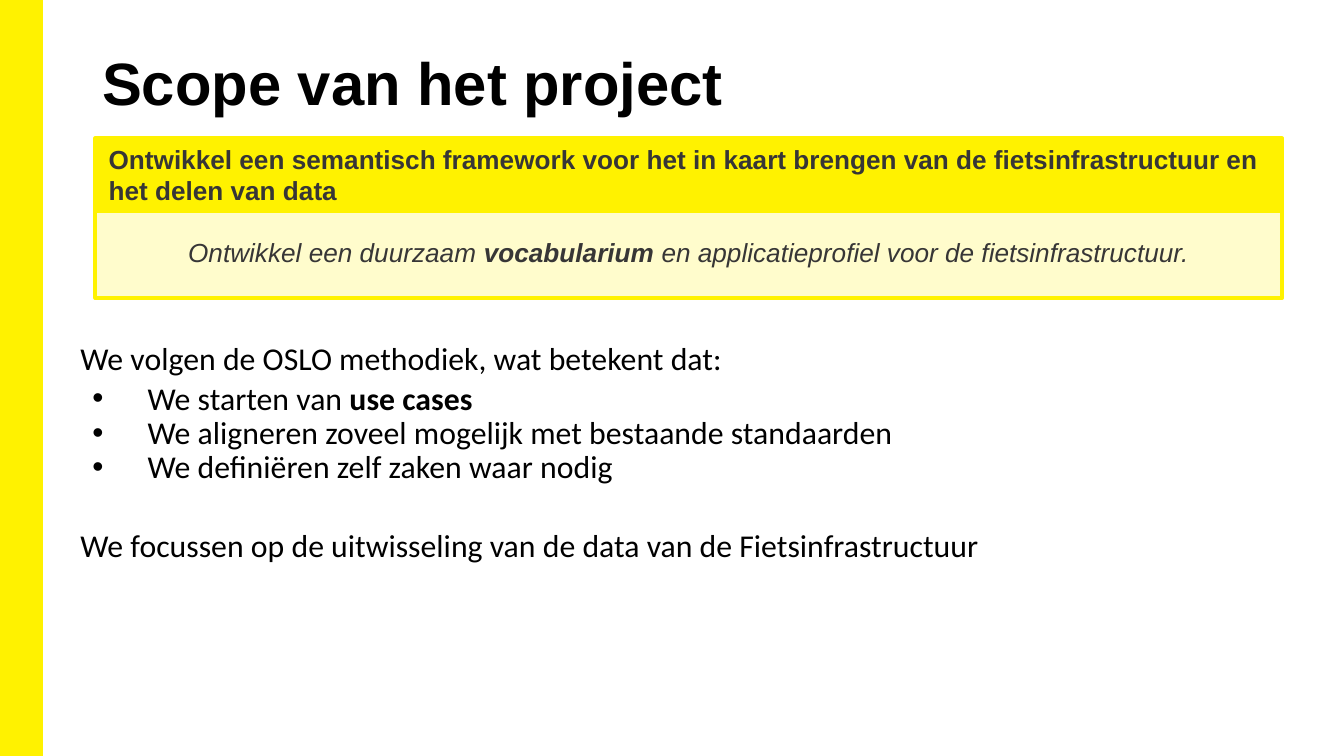
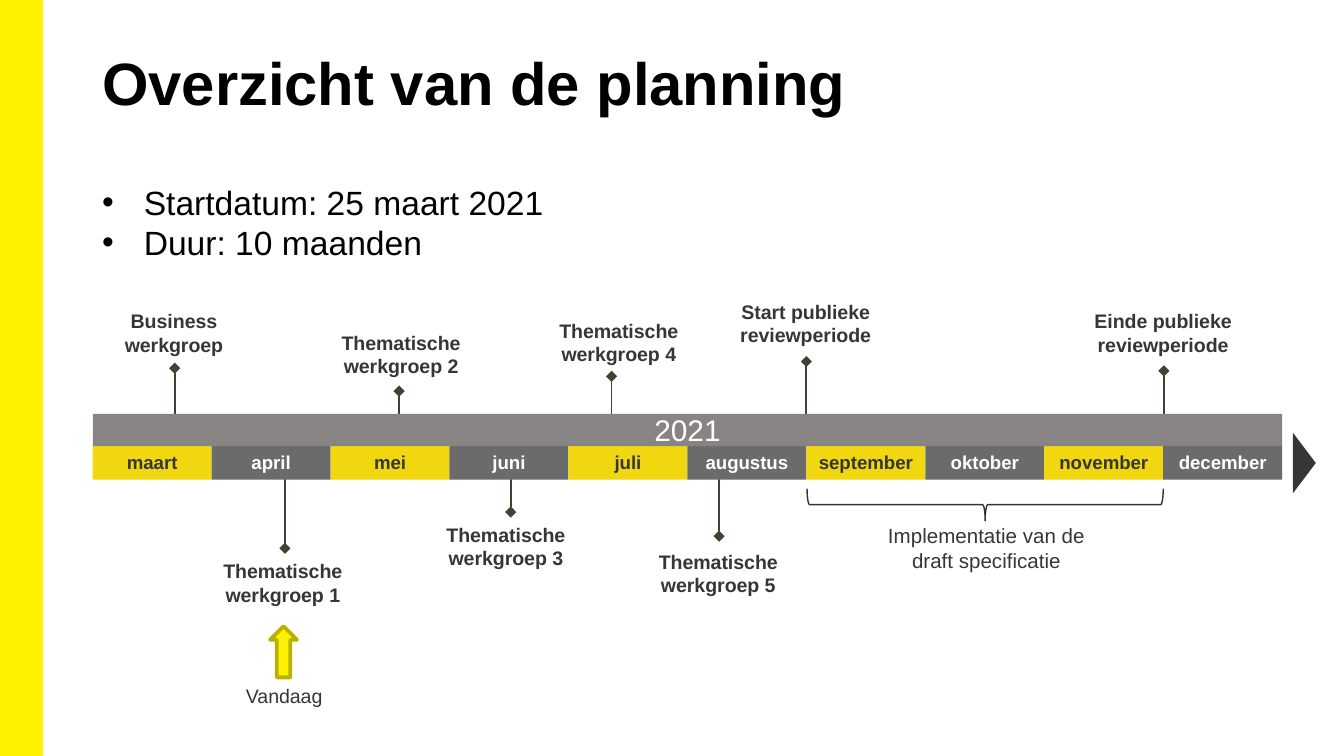
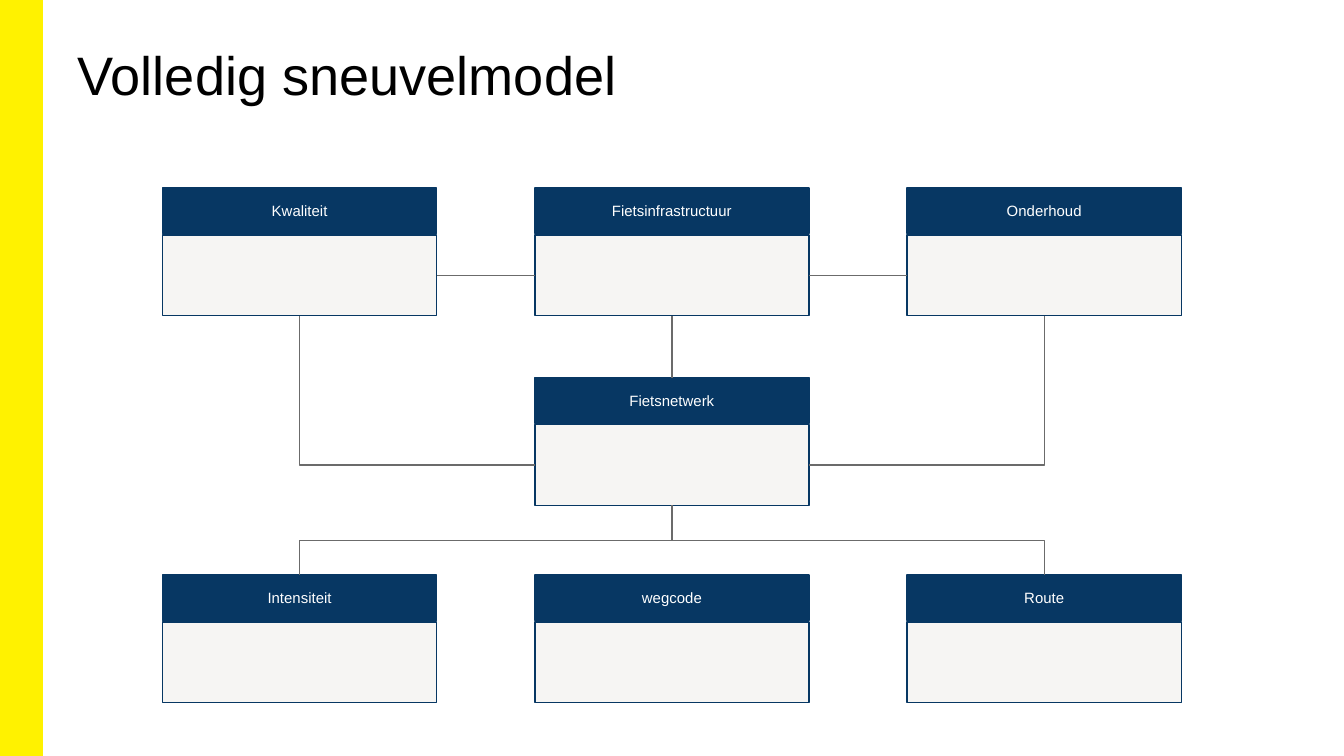
import pptx
import pptx.dml.color
import pptx.enum.shapes
import pptx.enum.text
import pptx.oxml
import pptx.oxml.ns
import pptx.util

COLUMNS, ROWS = 100, 56.25
YELLOW, PALE, GOLD, OLIVE = "FFF200", "FFFCCC", "F0D70F", "BAB000"
BLACK, WHITE, INK, STEM = "000000", "FFFFFF", "373636", "454034"
GREY, BAR, BRACE, NAVY, PAPER = "6B6B6B", "888484", "353333", "073763", "F6F5F3"
TITLE_INSETS = (0.7, 0.4, 0.7, 0.4)
BOX_INSETS = (1, 0.5, 1, 0.5)
MONTH_INSETS = (0.8, 0.8, 0.8, 1)
EVEN_INSETS = (1, 1, 1, 1)
NO_INSETS = (0, 0, 0, 0)
CENTER = pptx.enum.text.PP_ALIGN.CENTER
MIDDLE = pptx.enum.text.MSO_ANCHOR.MIDDLE
SHAPE = pptx.enum.shapes.MSO_SHAPE
LINK = pptx.enum.shapes.MSO_CONNECTOR
TOP, LEFT, BOTTOM, RIGHT = range(4)


def cells(count):
    return pptx.util.Inches(count / 10)


def color(value):
    return pptx.dml.color.RGBColor.from_string(value)


def add_element(parent, tag, **attributes):
    element = pptx.oxml.ns.qn(tag)
    child = parent.makeelement(element, attributes)
    parent.append(child)
    return child


def draw(shapes, kind, area, fill=None, outline=None, weight=1, rotation=0, adjustments=()):
    shape = shapes.add_shape(kind, *map(cells, area))
    shape.shadow.inherit = False
    shape.rotation = rotation
    for index, value in enumerate(adjustments):
        shape.adjustments[index] = value
    if fill:
        shape.fill.solid()
        shape.fill.fore_color.rgb = color(fill)
    else:
        shape.fill.background()
    if outline:
        shape.line.color.rgb = color(outline)
        shape.line.width = pptx.util.Pt(weight)
    else:
        shape.line.fill.background()
    return shape


def add_bullet(para, indent, hanging):
    properties = para._p.get_or_add_pPr()
    properties.set("marL", str(cells(indent)))
    properties.set("indent", str(-cells(hanging)))
    tint = add_element(properties, "a:buClr")
    add_element(tint, "a:srgbClr", val=BLACK)
    add_element(properties, "a:buFont", typeface="Arial")
    add_element(properties, "a:buChar", char="•")


def write_para(para, text, size, ink, bold=False, italic=False, font="Arial",
               align=None, spacing=None, before=None, bullet=None):
    if align is not None:
        para.alignment = align
    if spacing:
        para.line_spacing = spacing
    if before:
        para.space_before = pptx.util.Pt(before)
    if bullet:
        add_bullet(para, *bullet)
    para.font.name = font
    para.font.size = pptx.util.Pt(size)
    para.font.color.rgb = color(ink)
    para.font.bold = bold
    para.font.italic = italic
    for index, piece in enumerate(text.split("**")):
        span = para.add_run()
        span.text = piece
        if index % 2:
            span.font.bold = True


def set_frame(shape, insets, anchor=pptx.enum.text.MSO_ANCHOR.TOP):
    frame = shape.text_frame
    frame.word_wrap = True
    frame.vertical_anchor = anchor
    frame.margin_left, frame.margin_top, frame.margin_right, frame.margin_bottom = map(cells, insets)
    return frame


def label_shape(shape, text, size, ink, insets=BOX_INSETS, align=CENTER, bold=False):
    frame = set_frame(shape, insets, MIDDLE)
    write_para(frame.paragraphs[0], text, size, ink, bold, align=align)


def add_text(page, area, insets, paras):
    box = page.shapes.add_textbox(*map(cells, area))
    frame = set_frame(box, insets)
    for index, (text, style) in enumerate(paras):
        para = frame.add_paragraph() if index else frame.paragraphs[0]
        write_para(para, text, **style)


def add_caption(page, area, text, size=10.5, bold=True):
    style = dict(size=size, ink=INK, bold=bold, align=CENTER)
    add_text(page, area, NO_INSETS, [(text, style)])


def add_line(page, start, end, ink, weight, kind=LINK.STRAIGHT):
    line = page.shapes.add_connector(kind, *map(cells, start + end))
    line.line.color.rgb = color(ink)
    line.line.width = pptx.util.Pt(weight)
    add_element(line._element.spPr, "a:effectLst")
    return line


def add_page(deck, title, area, insets=TITLE_INSETS, size=32, bold=True):
    page = deck.slides.add_slide(deck.slide_layouts[6])
    draw(page.shapes, SHAPE.RECTANGLE, (0, 0, 3.1, ROWS), YELLOW, YELLOW)
    add_text(page, area, insets, [(title, dict(size=size, ink=BLACK, bold=bold))])
    return page


def build_scope(deck):
    page = add_page(deck, "Scope van het project", (6.9, 3, 86.2, 7.2))
    draw(page.shapes, SHAPE.RECTANGLE, (7.1, 15.6, 88.3, 6.6), PALE, YELLOW, 2)
    heading = draw(page.shapes, SHAPE.RECTANGLE, (7.1, 10.3, 88.3, 5.4), YELLOW, YELLOW, 2)
    label_shape(heading, "Ontwikkel een semantisch framework voor het in kaart brengen van de "
                "fietsinfrastructuur en het delen van data", 14, INK,
                align=pptx.enum.text.PP_ALIGN.LEFT, bold=True)
    add_text(page, (7.1, 17.1, 88.3, 3.4), BOX_INSETS, [
        ("Ontwikkel een duurzaam **vocabularium **en applicatieprofiel voor de fietsinfrastructuur.",
         dict(size=14, ink=INK, italic=True, align=CENTER))])
    plain = dict(size=17, ink=BLACK, font="Calibri", spacing=0.9)
    item = dict(plain, bullet=(5, 4.1))
    add_text(page, (5, 24.5, 90, 26.8), EVEN_INSETS, [
        ("We volgen de OSLO methodiek, wat betekent dat:", plain),
        ("We starten van **use cases", dict(item, before=3)),
        ("We aligneren zoveel mogelijk met bestaande standaarden", item),
        ("We definiëren zelf zaken waar nodig", item),
        ("We focussen op de uitwisseling van de data van de Fietsinfrastructuur",
         dict(plain, before=24))])


def add_milestone(page, text, x, tip, left, top):
    above = top < tip
    ends = ((x, tip), (x, 33)) if above else ((x, 35), (x, tip))
    stem = add_line(page, *ends, STEM, 1)
    outline = stem.line._get_or_add_ln()
    add_element(outline, "a:headEnd" if above else "a:tailEnd", type="diamond")
    add_caption(page, (left, top, 12.1, 4.2), text)


def build_planning(deck):
    page = add_page(deck, "Overzicht van de planning", (6.9, 3, 86.2, 8.1))
    item = dict(size=18, ink=BLACK, bullet=(3.1, 3.1))
    add_text(page, (6.9, 13.1, 86.2, 9.2), TITLE_INSETS,
             [("Startdatum: 25 maart 2021", item), ("Duur: 10 maanden", item)])

    milestones = [
        ("Business werkgroep", 13, 27.4, 6.9, 23),
        ("Thematische werkgroep 1", 21.2, 40.8, 15, 41.6),
        ("Thematische werkgroep 2", 29.7, 29.1, 23.8, 24.6),
        ("Thematische werkgroep 3", 38, 38.1, 31.6, 38.9),
        ("Thematische werkgroep 4", 45.5, 28, 40, 23.7),
        ("Thematische werkgroep 5", 53.5, 39.9, 47.4, 40.9),
        ("Start publieke reviewperiode", 60, 26.9, 53.9, 22.3),
        ("Einde publieke reviewperiode", 86.6, 27.6, 80.5, 23),
    ]
    for milestone in milestones:
        add_milestone(page, *milestone)

    months = ["maart", "april", "mei", "juni", "juli", "augustus",
              "september", "oktober", "november", "december"]
    start, width = 6.9, 88.5
    step = width / len(months)
    for index, month in enumerate(months):
        fill, ink = (GREY, WHITE) if index % 2 else (GOLD, INK)
        cell = draw(page.shapes, SHAPE.RECTANGLE, (start + index * step, 33.2, step, 2.5), fill)
        label_shape(cell, month, 10, ink, MONTH_INSETS, bold=True)
    year = draw(page.shapes, SHAPE.RECTANGLE, (start, 30.8, width, 2.4), BAR)
    label_shape(year, "2021", 16, WHITE)
    draw(page.shapes, SHAPE.ISOSCELES_TRIANGLE, (94.8, 33.6, 4.5, 1.7), INK, rotation=90)

    draw(page.shapes, SHAPE.LEFT_BRACE, (72.1, 24.3, 2.4, 26.5), None, BRACE, 0.75, 270, (0.08, 0.5))
    add_caption(page, (64.4, 38.9, 18, 4.2), "Implementatie van de draft specificatie", 11, False)
    draw(page.shapes, SHAPE.DOWN_ARROW, (20.1, 46.6, 2, 3.8), YELLOW, OLIVE, 2, 180)
    add_caption(page, (15.1, 50.9, 12.1, 2.6), "Vandaag", bold=False)


def add_entity(page, name, column, top):
    group = page.shapes.add_group_shape()
    left = 12.1 + column * 27.7
    body = draw(group.shapes, SHAPE.RECTANGLE, (left, top + 3.5, 20.4, 6), PAPER, NAVY, 0.75)
    header = draw(group.shapes, SHAPE.RECTANGLE, (left, top, 20.4, 3.4), NAVY, NAVY, 0.75)
    label_shape(header, name, 8, WHITE, EVEN_INSETS)
    return header, body


def join(page, source, source_side, target, target_side, bend=None):
    kind = LINK.ELBOW if bend else LINK.STRAIGHT
    line = add_line(page, (0, 0), (1, 1), GREY, 0.75, kind)
    line.begin_connect(source, source_side)
    line.end_connect(target, target_side)
    if bend:
        turn_elbow(line, bend)


def turn_elbow(line, bend):
    across, down = line.end_x - line.begin_x, line.end_y - line.begin_y
    center_x = (line.begin_x + line.end_x) // 2
    center_y = (line.begin_y + line.end_y) // 2
    line.width, line.height = down, abs(across)
    line.left, line.top = center_x - down // 2, center_y - abs(across) // 2
    frame = line._element.spPr.find(pptx.oxml.ns.qn("a:xfrm"))
    frame.set("rot", str((270 if across > 0 else 90) * 60000))
    frame.set("flipH", "1" if across > 0 else "0")
    frame.set("flipV", "0")
    line._element.spPr.find(pptx.oxml.ns.qn("a:prstGeom")).set("prst", bend)


def build_model(deck):
    page = add_page(deck, "Volledig sneuvelmodel", (4.8, 2.1, 60.9, 10.4), EVEN_INSETS, 29, False)
    rows = [(14, {0: "Kwaliteit", 1: "Fietsinfrastructuur", 2: "Onderhoud"}),
            (28.1, {1: "Fietsnetwerk"}),
            (42.8, {0: "Intensiteit", 1: "wegcode", 2: "Route"})]
    headers, bodies = {}, {}
    for top, names in rows:
        for column, name in names.items():
            headers[name], bodies[name] = add_entity(page, name, column, top)

    center, network = bodies["Fietsinfrastructuur"], bodies["Fietsnetwerk"]
    join(page, center, BOTTOM, headers["Fietsnetwerk"], TOP)
    for name, inner, outer in [("Kwaliteit", RIGHT, LEFT), ("Onderhoud", LEFT, RIGHT)]:
        join(page, bodies[name], inner, center, outer)
        join(page, bodies[name], BOTTOM, network, outer, "bentConnector2")
    for name in ("Intensiteit", "Route"):
        join(page, network, BOTTOM, headers[name], TOP, "bentConnector3")


def main():
    deck = pptx.Presentation()
    deck.slide_width, deck.slide_height = cells(COLUMNS), cells(ROWS)
    build_scope(deck)
    build_planning(deck)
    build_model(deck)
    deck.save("out.pptx")


if __name__ == "__main__":
    main()
